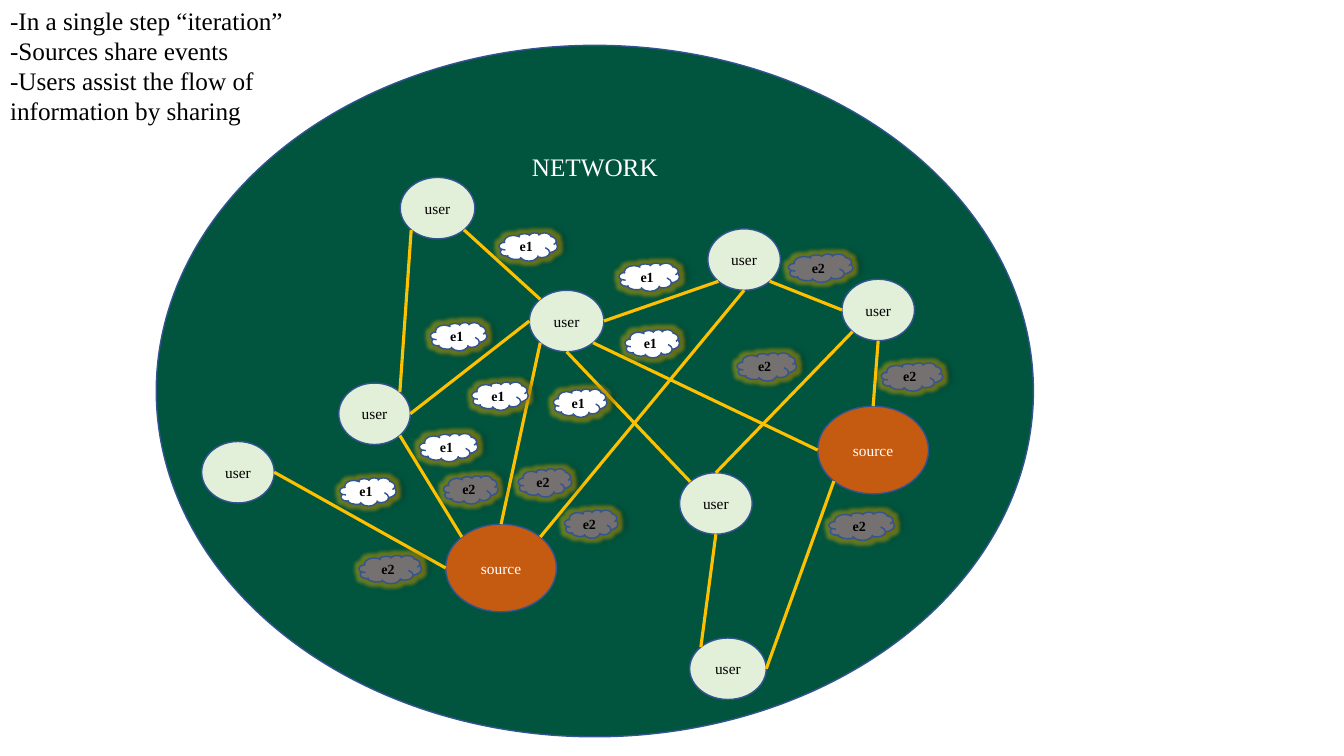
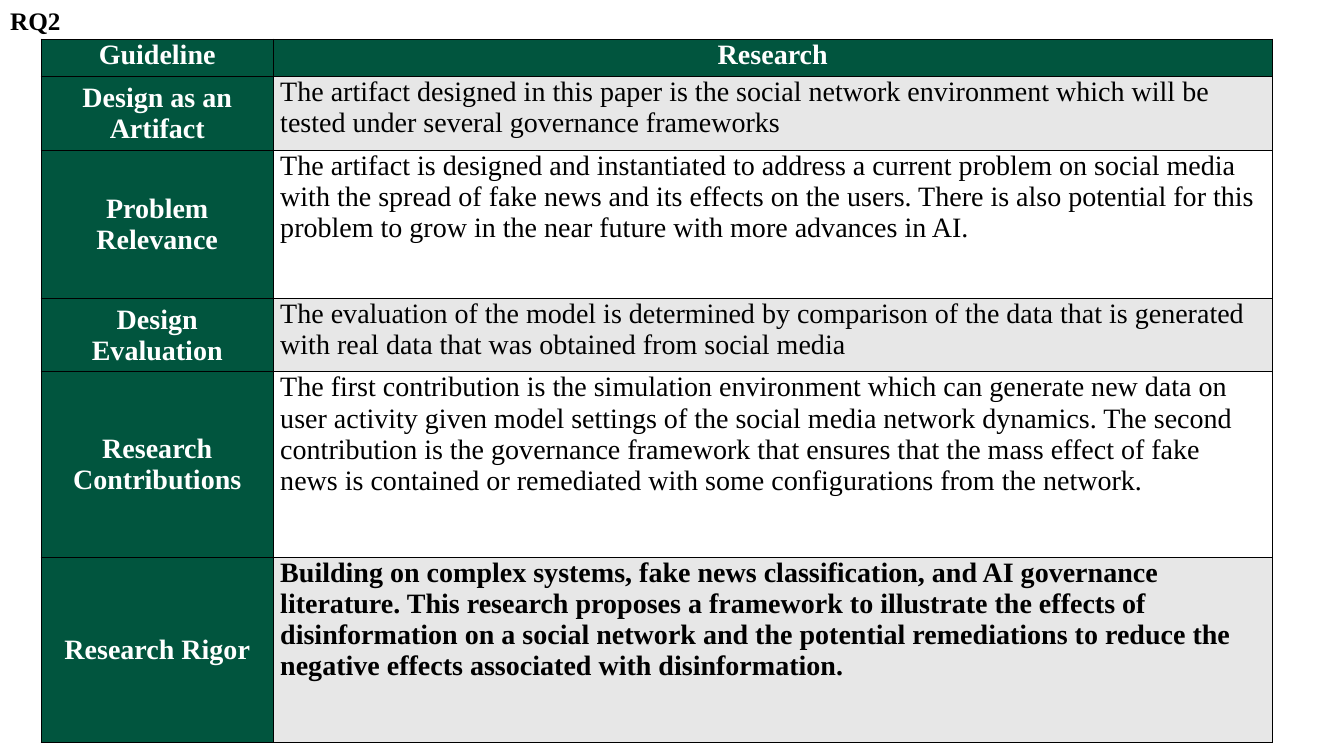
from dataclasses import dataclass
from math import cos, pi, sin

from lxml import etree
from pptx import Presentation
from pptx.dml.color import RGBColor
from pptx.enum.shapes import MSO_CONNECTOR, MSO_SHAPE
from pptx.enum.text import MSO_ANCHOR, PP_ALIGN
from pptx.oxml.ns import qn
from pptx.util import Inches, Pt

OVAL, CLOUD = MSO_SHAPE.OVAL, MSO_SHAPE.CLOUD
LINE = MSO_CONNECTOR.STRAIGHT
LEFT, CENTER = PP_ALIGN.LEFT, PP_ALIGN.CENTER
TOP, MIDDLE = MSO_ANCHOR.TOP, MSO_ANCHOR.MIDDLE

FONT = "Times New Roman"
HUES = {
    "green": "01553E", "pale": "E2F0D9", "rust": "C55A11", "gold": "FFC000",
    "blue": "325491", "gray": "767171", "band": "E7E7E7",
    "white": "FFFFFF", "black": "000000",
}


@dataclass
class Node:
    x: float
    y: float
    w: float
    kind: str = "user"


@dataclass
class Look:
    h: float
    fill: str
    ink: str


@dataclass
class Link:
    """Joins two nodes; sites run counter-clockwise from 0 at the top."""
    head: str
    start: int
    tail: str
    end: int


@dataclass
class Event:
    x: float
    y: float
    w: float
    name: str


LOOKS = {
    "user": Look(0.61, "pale", "black"),
    "source": Look(0.87, "rust", "white"),
}
NODES = {
    "west": Node(3.36, 3.8, 0.71),
    "north": Node(3.97, 1.76, 0.74),
    "hub": Node(5.25, 2.88, 0.74),
    "south": Node(6.74, 4.69, 0.72),
    "east": Node(8.35, 2.77, 0.72),
    "far": Node(2, 4.38, 0.72),
    "crest": Node(7.02, 2.27, 0.72),
    "base": Node(6.84, 6.33, 0.76),
    "src1": Node(4.42, 5.2, 1.1, "source"),
    "src2": Node(8.11, 4.03, 1.1, "source"),
}
LINKS = [
    Link("west", 7, "north", 3), Link("west", 6, "hub", 2),
    Link("hub", 1, "north", 5), Link("hub", 3, "src1", 0),
    Link("west", 5, "src1", 1), Link("far", 6, "src1", 2),
    Link("hub", 4, "south", 1), Link("hub", 5, "src2", 2),
    Link("base", 1, "south", 4), Link("src1", 7, "crest", 4),
    Link("south", 0, "east", 3), Link("east", 4, "src2", 0),
    Link("src2", 3, "base", 6), Link("east", 2, "crest", 5),
    Link("hub", 6, "crest", 3),
]
EVENTS = [
    Event(3.37, 4.74, 0.56, "e1"), Event(4.16, 4.3, 0.58, "e1"),
    Event(4.27, 3.2, 0.56, "e1"), Event(6.14, 2.61, 0.6, "e1"),
    Event(5.49, 3.86, 0.53, "e1"), Event(4.68, 3.79, 0.56, "e1"),
    Event(4.95, 2.31, 0.58, "e1"), Event(3.56, 5.51, 0.62, "e2"),
    Event(4.4, 4.72, 0.54, "e2"), Event(5.14, 4.65, 0.53, "e2"),
    Event(5.6, 5.06, 0.53, "e2"), Event(7.31, 3.5, 0.59, "e2"),
    Event(8.74, 3.6, 0.61, "e2"), Event(8.22, 5.08, 0.65, "e2"),
    Event(7.82, 2.52, 0.64, "e2"), Event(6.2, 3.27, 0.54, "e1"),
]
NOTES = [
    "-In a single step “iteration”",
    "-Sources share events",
    "-Users assist the flow of information by sharing",
]
COLS = [2.3, 9.91]
ROWS = [
    (0.37, "Guideline", "Research"),
    (0.73, "Design as an Artifact",
     "The artifact designed in this paper is the social network environment "
     "which will be tested under several governance frameworks"),
    (1.47, "Problem Relevance",
     "The artifact is designed and instantiated to address a current problem "
     "on social media with the spread of fake news and its effects on the "
     "users. There is also potential for this problem to grow in the near "
     "future with more advances in AI."),
    (0.73, "Design Evaluation",
     "The evaluation of the model is determined by comparison of the data "
     "that is generated with real data that was obtained from social media"),
    (1.84, "Research Contributions",
     "The first contribution is the simulation environment which can generate "
     "new data on user activity given model settings of the social media "
     "network dynamics. The second contribution is the governance framework "
     "that ensures that the mass effect of fake news is contained or "
     "remediated with some configurations from the network."),
    (1.84, "Research Rigor",
     "Building on complex systems, fake news classification, and AI "
     "governance literature. This research proposes a framework to illustrate "
     "the effects of disinformation on a social network and the potential "
     "remediations to reduce the negative effects associated with "
     "disinformation."),
]


# Shared helpers
def color(name: str) -> RGBColor:
    return RGBColor.from_string(HUES[name])


def node(root, tag: str, **attrs):
    return etree.SubElement(root, qn(tag), {k: str(v) for k, v in attrs.items()})


def write(frame, *lines: str, size: float = 18, ink: str = "black",
          bold: bool = False, align=LEFT, gap: float = 0) -> None:
    frame.word_wrap = True
    for i, line in enumerate(lines):
        para = frame.add_paragraph() if i else frame.paragraphs[0]
        para.alignment = align
        para.space_before = para.space_after = Pt(gap)
        run = para.add_run()
        run.text = line
        run.font.name, run.font.size, run.font.bold = FONT, Pt(size), bold
        run.font.color.rgb = color(ink)


def place(holder, high: float, *lines: str, bold: bool = False) -> None:
    """Sets a placeholder as the plain note in the top left corner."""
    holder.left = holder.top = Inches(0)
    holder.width, holder.height = Inches(3.16), Inches(high)
    frame = holder.text_frame
    write(frame, *lines, bold=bold)
    frame.vertical_anchor = TOP
    for para in frame.paragraphs:
        props = para._p.get_or_add_pPr()
        props.set("marL", "0")
        props.set("indent", "0")
        node(props, "a:buNone")


def draw(slide, form, x: float, y: float, w: float, h: float, fill: str,
         text: str, anchor=MIDDLE, pad: float = 0, **style):
    shape = slide.shapes.add_shape(form, *map(Inches, (x, y, w, h)))
    shape.fill.solid()
    shape.fill.fore_color.rgb = color(fill)
    shape.line.color.rgb = color("blue")
    shape.line.width = Pt(1)
    shape.shadow.inherit = False
    frame = shape.text_frame
    frame.margin_left = frame.margin_right = Inches(pad)
    frame.margin_top = frame.margin_bottom = Inches(pad)
    frame.vertical_anchor = anchor
    write(frame, text, align=CENTER, **style)
    return shape


# Network parts
def site(spot: Node, i: int) -> tuple[float, float]:
    high, turn = LOOKS[spot.kind].h, i * pi / 4
    return (spot.x + spot.w / 2 * (1 - sin(turn)),
            spot.y + high / 2 * (1 - cos(turn)))


def join(slide, link: Link, shapes: dict) -> None:
    start = site(NODES[link.head], link.start)
    end = site(NODES[link.tail], link.end)
    wire = slide.shapes.add_connector(LINE, *map(Inches, start + end))
    wire.line.color.rgb = color("gold")
    wire.line.width = Pt(2.25)
    node(wire.element.spPr, "a:effectLst")
    # Ovals have eight sites, so the ends are glued by index
    glue = wire.element.find(".//" + qn("p:cNvCxnSpPr"))
    node(glue, "a:stCxn", id=shapes[link.head].shape_id, idx=link.start)
    node(glue, "a:endCxn", id=shapes[link.tail].shape_id, idx=link.end)


def glow(shape) -> None:
    effects = shape.element.spPr.find(qn("a:effectLst"))
    halo = node(effects, "a:glow", rad=Pt(5))
    shade = node(effects, "a:outerShdw", blurRad=Pt(4), dist=Pt(3), dir=0)
    for part, hue in ((halo, "gold"), (shade, "black")):
        tint = node(part, "a:srgbClr", val=HUES[hue])
        node(tint, "a:alpha", val=40000)


def network(deck) -> None:
    slide = deck.slides.add_slide(deck.slide_layouts[1])
    title = slide.shapes.title.element
    title.getparent().remove(title)
    draw(slide, OVAL, 1.55, 0.45, 8.7, 6.86, "green", "NETWORK",
         anchor=TOP, pad=0.05, ink="white")
    shapes = {}
    for key, spot in NODES.items():
        look = LOOKS[spot.kind]
        shapes[key] = draw(slide, OVAL, spot.x, spot.y, spot.w, look.h,
                           look.fill, spot.kind, size=11, ink=look.ink)
    place(slide.placeholders[1], 1.31, *NOTES)
    for link in LINKS:
        join(slide, link, shapes)
    for event in EVENTS:
        fill = "white" if event.name == "e1" else "gray"
        glow(draw(slide, CLOUD, event.x, event.y, event.w, 0.28, fill,
                  event.name, size=10, bold=True))


# Guideline table
def dress(cell, fill: str) -> None:
    props = cell._tc.get_or_add_tcPr()
    for side in ("a:lnL", "a:lnR", "a:lnT", "a:lnB"):
        edge = node(props, side, w=Pt(1))
        node(node(edge, "a:solidFill"), "a:srgbClr", val=HUES["black"])
    cell.fill.solid()
    cell.fill.fore_color.rgb = color(fill)
    cell.margin_left = cell.margin_right = Inches(0.07)
    cell.margin_top = cell.margin_bottom = 0


def guide(deck) -> None:
    slide = deck.slides.add_slide(deck.slide_layouts[5])
    place(slide.shapes.title, 0.4, "RQ2", bold=True)
    box = map(Inches, (0.41, 0.39, sum(COLS), sum(row[0] for row in ROWS)))
    table = slide.shapes.add_table(len(ROWS), len(COLS), *box).table
    table.horz_banding = False
    for col, wide in zip(table.columns, COLS):
        col.width = Inches(wide)
    last = len(ROWS) - 1
    for r, (high, *texts) in enumerate(ROWS):
        table.rows[r].height = Inches(high)
        for c, text in enumerate(texts):
            cell = table.cell(r, c)
            head = r == 0 or c == 0
            band = "band" if r % 2 else "white"
            if r == last:
                band = "band"
            dress(cell, "green" if head else band)
            cell.vertical_anchor = MIDDLE if r and c == 0 else TOP
            write(cell.text_frame, text, size=20, gap=6,
                  ink="white" if head else "black",
                  bold=head or r == last, align=CENTER if head else LEFT)


def main() -> None:
    deck = Presentation()
    deck.slide_width, deck.slide_height = Inches(13.33), Inches(7.5)
    network(deck)
    guide(deck)
    deck.save("out.pptx")


if __name__ == "__main__":
    main()
